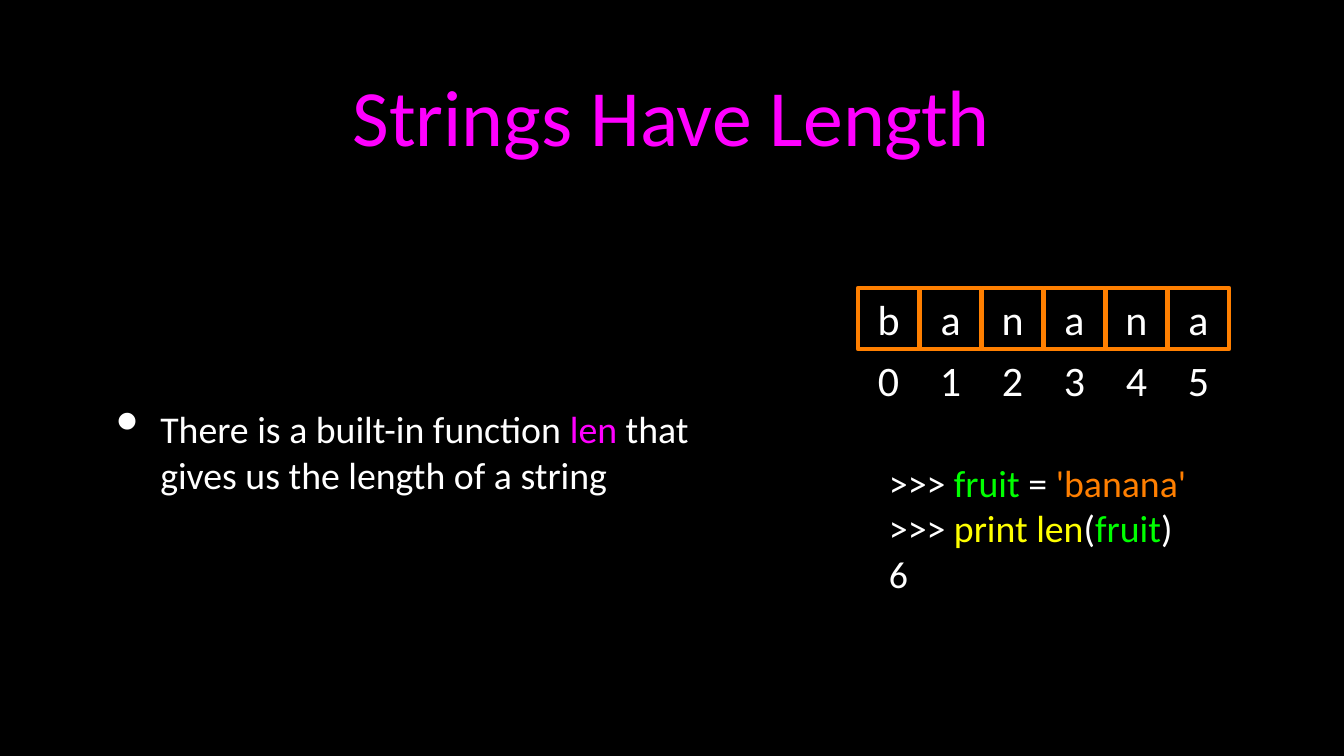
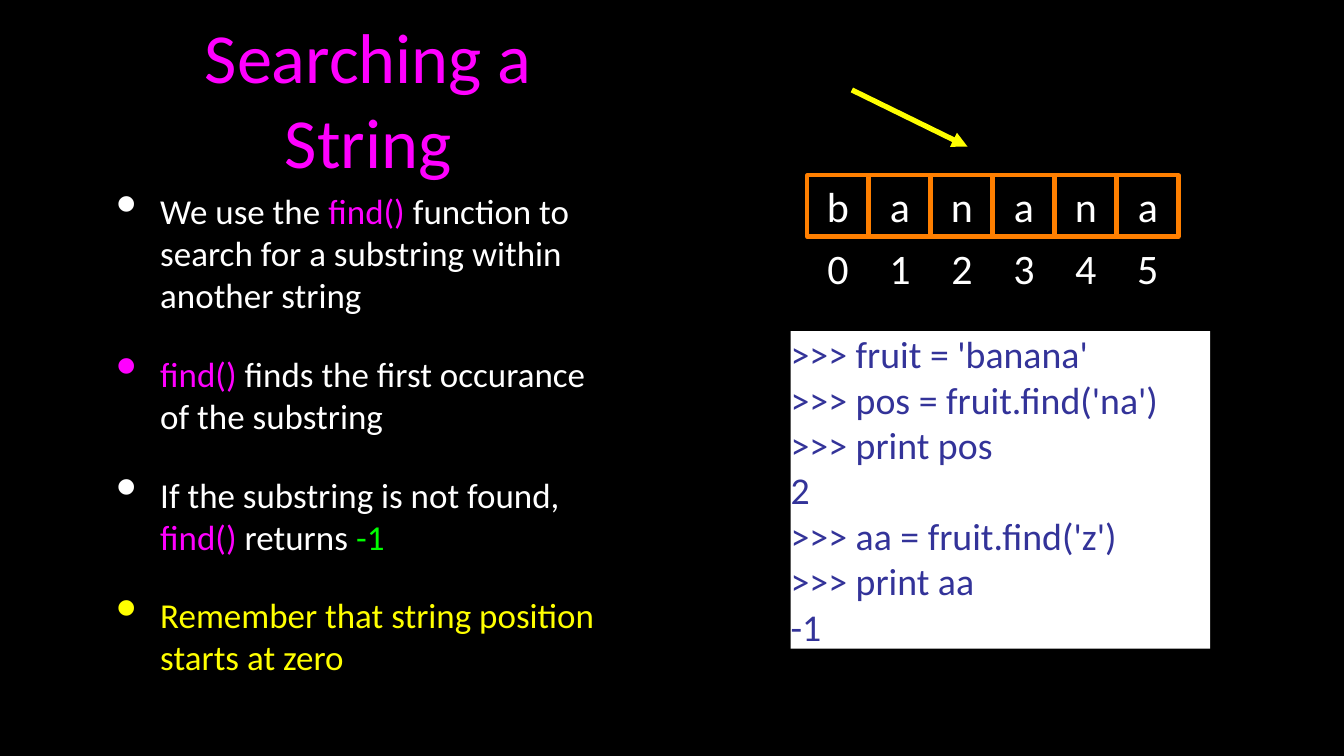
from dataclasses import dataclass
from lxml.etree import SubElement
from pptx import Presentation
from pptx.dml.color import RGBColor
from pptx.enum.shapes import MSO_CONNECTOR, MSO_SHAPE
from pptx.enum.text import MSO_ANCHOR, MSO_AUTO_SIZE, PP_ALIGN
from pptx.oxml.ns import qn
from pptx.util import Inches, Pt


@dataclass(frozen=True)
class Theme:
    font: str = "Calibri"
    back: str = "000000"
    text: str = "FFFFFF"
    key: str = "FF00FF"
    name: str = "00FF00"
    call: str = "FFFF00"
    edge: str = "FF7F00"
    ink: str = "333399"
    code: float = 36
    cell: float = 40
    gap: float = 35
    pad: float = 0.04


T = Theme()
WORD = "banana"
SIDE, PITCH = 0.81, 0.82  # letter box side and step


def paint(fill, color):
    fill.solid()
    fill.fore_color.rgb = RGBColor.from_string(color)


def add_bullet(para, color):
    props = para._p.get_or_add_pPr()
    props.set("marL", str(Inches(0.82)))
    props.set("indent", str(Inches(-0.58)))
    tint = SubElement(props, qn("a:buClr"))
    SubElement(tint, qn("a:srgbClr"), val=color)
    SubElement(props, qn("a:buSzPct"), val="171000")
    SubElement(props, qn("a:buChar"), char="•")


def put_text(shape, lines, *, size, color=T.text, align=PP_ALIGN.LEFT,
             pad=0, bullet=False, gap=0):
    """Each line is a string or a list of parts: strings or (string, color)."""
    frame = shape.text_frame
    frame.word_wrap = True
    frame.auto_size = MSO_AUTO_SIZE.NONE
    frame.vertical_anchor = MSO_ANCHOR.MIDDLE
    frame.margin_left = frame.margin_right = Inches(pad)
    frame.margin_top = frame.margin_bottom = Inches(pad)
    for i, line in enumerate(lines):
        para = frame.paragraphs[0] if i == 0 else frame.add_paragraph()
        parts = [line] if isinstance(line, str) else line
        parts = [(p, color) if isinstance(p, str) else p for p in parts]
        if bullet:
            add_bullet(para, parts[0][1])
        para.alignment = align
        para.space_before = Pt(gap if i else 0)
        for words, tint in parts:
            run = para.add_run()
            run.text = words
            run.font.name, run.font.size = T.font, Pt(size)
            run.font.color.rgb = RGBColor.from_string(tint)


def add_text(slide, box, lines, **style):
    shape = slide.shapes.add_textbox(*map(Inches, box))
    put_text(shape, lines, **style)


def add_rect(slide, box, lines, *, fill=None, edge=None, **style):
    shape = slide.shapes.add_shape(MSO_SHAPE.RECTANGLE, *map(Inches, box))
    shape.shadow.inherit = False
    if fill:
        paint(shape.fill, fill)
    else:
        shape.fill.background()
    if edge:
        paint(shape.line.fill, edge)
        shape.line.width = Pt(4)
    else:
        shape.line.fill.background()
    put_text(shape, lines, **style)


def add_title(slide, box, title, size):
    shape = slide.shapes.title
    shape.left, shape.top, shape.width, shape.height = map(Inches, box)
    put_text(shape, [title], size=size, color=T.key, align=PP_ALIGN.CENTER,
             pad=T.pad)


def add_points(slide, box, points, size):
    add_text(slide, box, points, size=size, pad=T.pad, bullet=True, gap=T.gap)


def add_word(slide, left, top):
    """Boxed letters with their positions below."""
    style = dict(size=T.cell, align=PP_ALIGN.CENTER)
    for i, char in enumerate(WORD):
        x = left + i * PITCH
        add_text(slide, (x, top + SIDE, SIDE, SIDE), [str(i)], **style)
        add_rect(slide, (x, top, SIDE, SIDE), [char], edge=T.edge, **style)


def add_arrow(slide, start, end):
    """Line with its arrowhead at the start point."""
    line = slide.shapes.add_connector(MSO_CONNECTOR.STRAIGHT,
                                      *map(Inches, start + end))
    paint(line.line.fill, T.call)
    line.line.width = Pt(5)
    props = line._element.spPr
    SubElement(props.find(qn("a:ln")), qn("a:headEnd"), type="triangle")
    SubElement(props, qn("a:effectLst"))


def length_slide(slide):
    add_title(slide, (1.26, 0.26, 15.24, 2.51), "Strings Have Length", 76)
    add_points(slide, (1.26, 2.85, 8.38, 6.24), [
        ["There is a built-in function ", ("len", T.key),
         " that gives us the length of a string"],
    ], 36)
    # Python session
    add_text(slide, (11.76, 6.08, 4.52, 1.8), [
        [">>> ", ("fruit", T.name), " = ", ("'banana'", T.edge)],
        [">>> ", ("print len", T.call), "(", ("fruit", T.name), ")"],
        "6",
    ], size=T.code)
    add_word(slide, 11.35, 3.81)


def search_slide(slide):
    find = ("find()", T.key)
    add_title(slide, (1.5, 0.26, 6.74, 2.07), "Searching a String", 67)
    add_points(slide, (1.26, 2.4, 6.74, 6.68), [
        ["We use the ", find,
         " function to search for a substring within another string"],
        [find, " finds the first occurance of the substring"],
        ["If the substring is not found, ", find, " returns ",
         ("-1", T.name)],
        [("Remember that string position starts at zero", T.call)],
    ], 33.3)
    # Python session
    add_rect(slide, (10.46, 4.38, 5.55, 4.2), [
        ">>> fruit = 'banana'",
        ">>> pos = fruit.find('na')",
        ">>> print pos",
        "2",
        ">>> aa = fruit.find('z')",
        ">>> print aa",
        "-1",
    ], fill=T.text, size=T.code, color=T.ink)
    add_arrow(slide, (12.8, 1.94), (11.27, 1.19))
    add_word(slide, 10.68, 2.32)


def main():
    deck = Presentation()
    deck.slide_width, deck.slide_height = Inches(17.78), Inches(10)
    paint(deck.slide_master.background.fill, T.back)
    for build in (length_slide, search_slide):
        build(deck.slides.add_slide(deck.slide_layouts[5]))
    deck.save("out.pptx")


if __name__ == "__main__":
    main()
